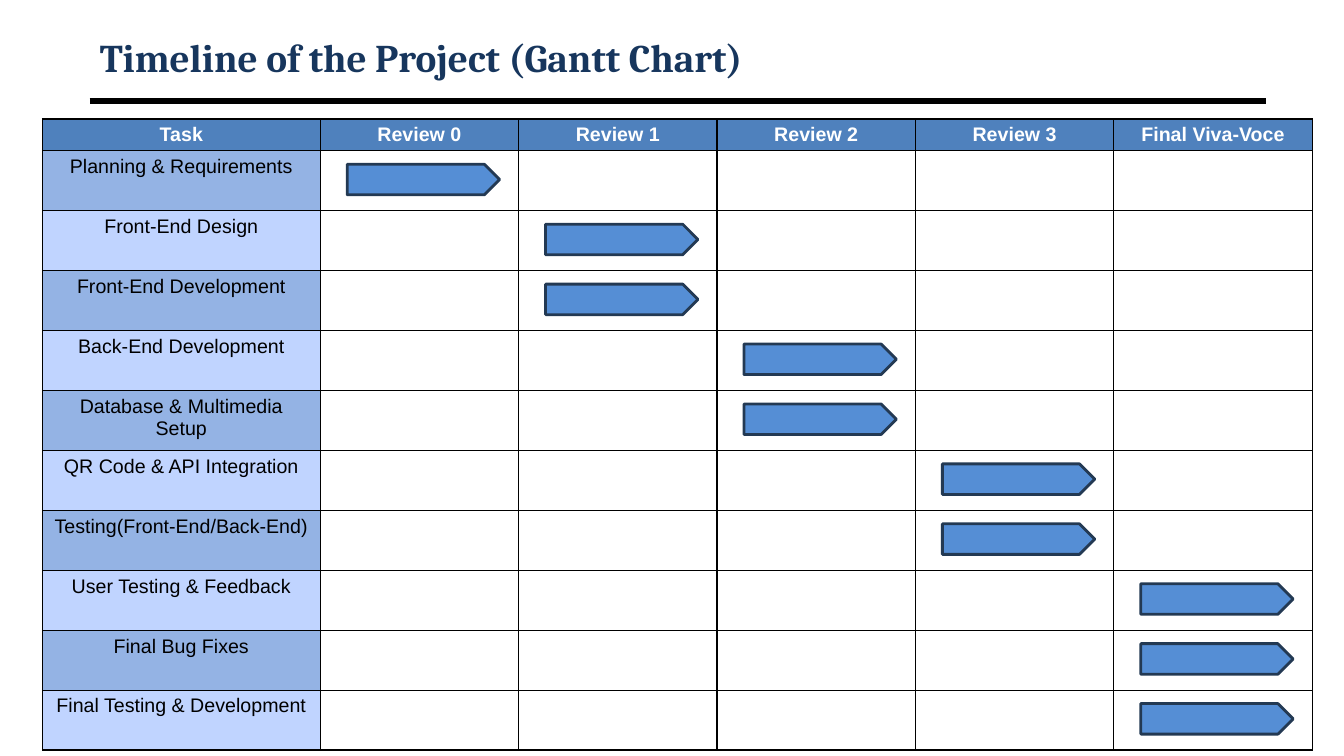
from lxml import etree
from pptx import Presentation
from pptx.dml.color import RGBColor
from pptx.enum.shapes import MSO_CONNECTOR as Connector, MSO_SHAPE as Shape
from pptx.enum.text import MSO_ANCHOR as Anchor, PP_ALIGN as Align
from pptx.oxml.ns import qn
from pptx.util import Cm, Pt

BLACK = RGBColor(0x00, 0x00, 0x00)
WHITE = RGBColor(0xFF, 0xFF, 0xFF)
NAVY = RGBColor(0x17, 0x36, 0x5D)
HEADER_BLUE = RGBColor(0x4F, 0x81, 0xBD)
TASK_DARK = RGBColor(0x94, 0xB3, 0xE4)
TASK_LIGHT = RGBColor(0xC0, 0xD4, 0xFF)
BAR_BLUE = RGBColor(0x55, 0x8E, 0xD5)
BAR_EDGE = RGBColor(0x23, 0x39, 0x53)

PHASES = ["Review 0", "Review 1", "Review 2", "Review 3", "Final Viva-Voce"]
# Each task with the index of the phase it is done in
TASKS = [
    ("Planning & Requirements", 0),
    ("Front-End Design", 1),
    ("Front-End Development", 1),
    ("Back-End Development", 2),
    ("Database & Multimedia Setup", 2),
    ("QR Code & API Integration", 3),
    ("Testing(Front-End/Back-End)", 3),
    ("User Testing & Feedback", 4),
    ("Final Bug Fixes", 4),
    ("Final Testing & Development", 4),
]

GRID_LEFT, GRID_TOP = 1.07, 3.0
TASK_WIDTH, PHASE_WIDTH = 7.0, 5.0
HEADER_HEIGHT, TASK_HEIGHT = 0.8, 1.51
BAR_WIDTH, BAR_HEIGHT = 3.84, 0.77
BAR_INDENT, BAR_DROP = 0.68, 0.34


def style_font(font, name, size, color, bold):
    font.name = name
    font.size = Pt(size)
    font.color.rgb = color
    font.bold = bold


def set_title(slide, text):
    title = slide.shapes.title
    title.left, title.top = Cm(2.26), Cm(0.76)
    title.width, title.height = Cm(29.64), Cm(1.35)
    frame = title.text_frame
    frame.text = text
    frame.vertical_anchor = Anchor.MIDDLE
    paragraph = frame.paragraphs[0]
    paragraph.alignment = Align.LEFT
    style_font(paragraph.runs[0].font, "Cambria", 28, NAVY, True)


def add_title_rule(slide):
    rule = slide.shapes.add_connector(
        Connector.STRAIGHT, Cm(2.26), Cm(2.54), Cm(31.9), Cm(2.54))
    rule.line.color.rgb = BLACK
    rule.line.width = Pt(4.5)
    etree.SubElement(rule._element.spPr, qn("a:effectLst"))


def add_borders(cell):
    """Draw a thin black line on all four sides; call before filling."""
    properties = cell._tc.get_or_add_tcPr()
    for side in ("a:lnL", "a:lnR", "a:lnT", "a:lnB"):
        border = etree.SubElement(properties, qn(side), w=str(Pt(1)))
        fill = etree.SubElement(border, qn("a:solidFill"))
        etree.SubElement(fill, qn("a:srgbClr"), val=str(BLACK))


def paint_cell(cell, color):
    add_borders(cell)
    cell.fill.solid()
    cell.fill.fore_color.rgb = color


def write_cell(cell, text, color, bold=False):
    cell.text_frame.text = text
    paragraph = cell.text_frame.paragraphs[0]
    paragraph.alignment = Align.CENTER
    style_font(paragraph.runs[0].font, "Arial", 14, color, bold)


def add_task_grid(slide):
    width = TASK_WIDTH + len(PHASES) * PHASE_WIDTH
    height = HEADER_HEIGHT + len(TASKS) * TASK_HEIGHT
    grid = slide.shapes.add_table(
        len(TASKS) + 1, len(PHASES) + 1,
        Cm(GRID_LEFT), Cm(GRID_TOP), Cm(width), Cm(height)).table
    for index, column in enumerate(grid.columns):
        column.width = Cm(PHASE_WIDTH if index else TASK_WIDTH)
    for index, row in enumerate(grid.rows):
        row.height = Cm(TASK_HEIGHT if index else HEADER_HEIGHT)

    for index, heading in enumerate(["Task"] + PHASES):
        cell = grid.cell(0, index)
        paint_cell(cell, HEADER_BLUE)
        write_cell(cell, heading, WHITE, bold=True)
        cell.vertical_anchor = Anchor.MIDDLE
        cell.margin_top = cell.margin_bottom = Cm(0.05)

    for row, (task, _) in enumerate(TASKS, start=1):
        paint_cell(grid.cell(row, 0), TASK_DARK if row % 2 else TASK_LIGHT)
        write_cell(grid.cell(row, 0), task, BLACK)
        for column in range(1, len(PHASES) + 1):
            paint_cell(grid.cell(row, column), WHITE)


def add_task_bar(slide, row, phase):
    left = GRID_LEFT + TASK_WIDTH + phase * PHASE_WIDTH + BAR_INDENT
    top = GRID_TOP + HEADER_HEIGHT + row * TASK_HEIGHT + BAR_DROP
    bar = slide.shapes.add_shape(
        Shape.PENTAGON, Cm(left), Cm(top), Cm(BAR_WIDTH), Cm(BAR_HEIGHT))
    bar.shadow.inherit = False
    bar.fill.solid()
    bar.fill.fore_color.rgb = BAR_BLUE
    bar.line.color.rgb = BAR_EDGE
    bar.line.width = Pt(2)


def main():
    deck = Presentation()
    deck.slide_width, deck.slide_height = Cm(33.87), Cm(19.05)
    slide = deck.slides.add_slide(deck.slide_layouts.get_by_name("Title Only"))
    add_title_rule(slide)
    set_title(slide, "Timeline of the Project (Gantt Chart)")
    add_task_grid(slide)
    for row, (_, phase) in enumerate(TASKS):
        add_task_bar(slide, row, phase)
    deck.save("out.pptx")


if __name__ == "__main__":
    main()
